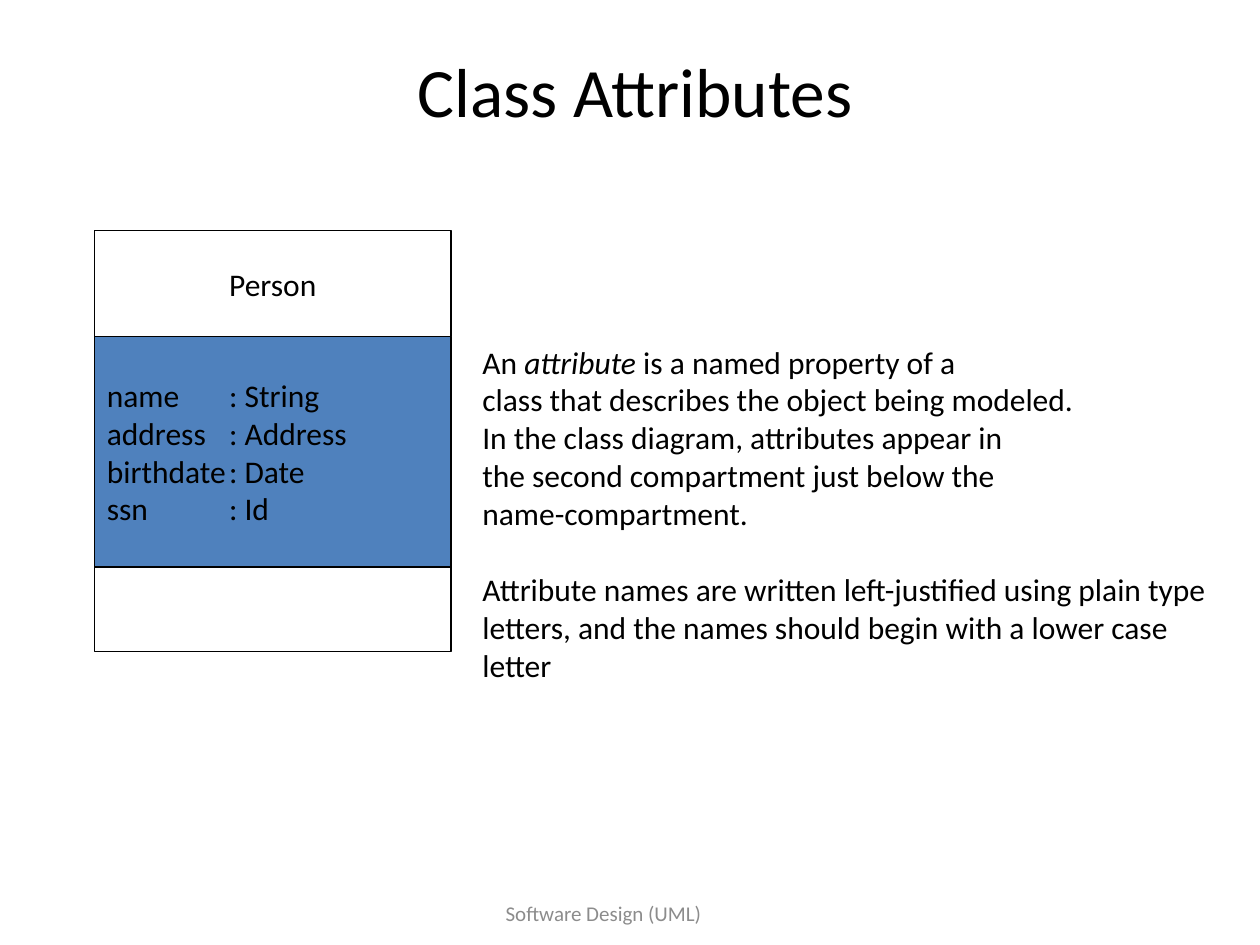
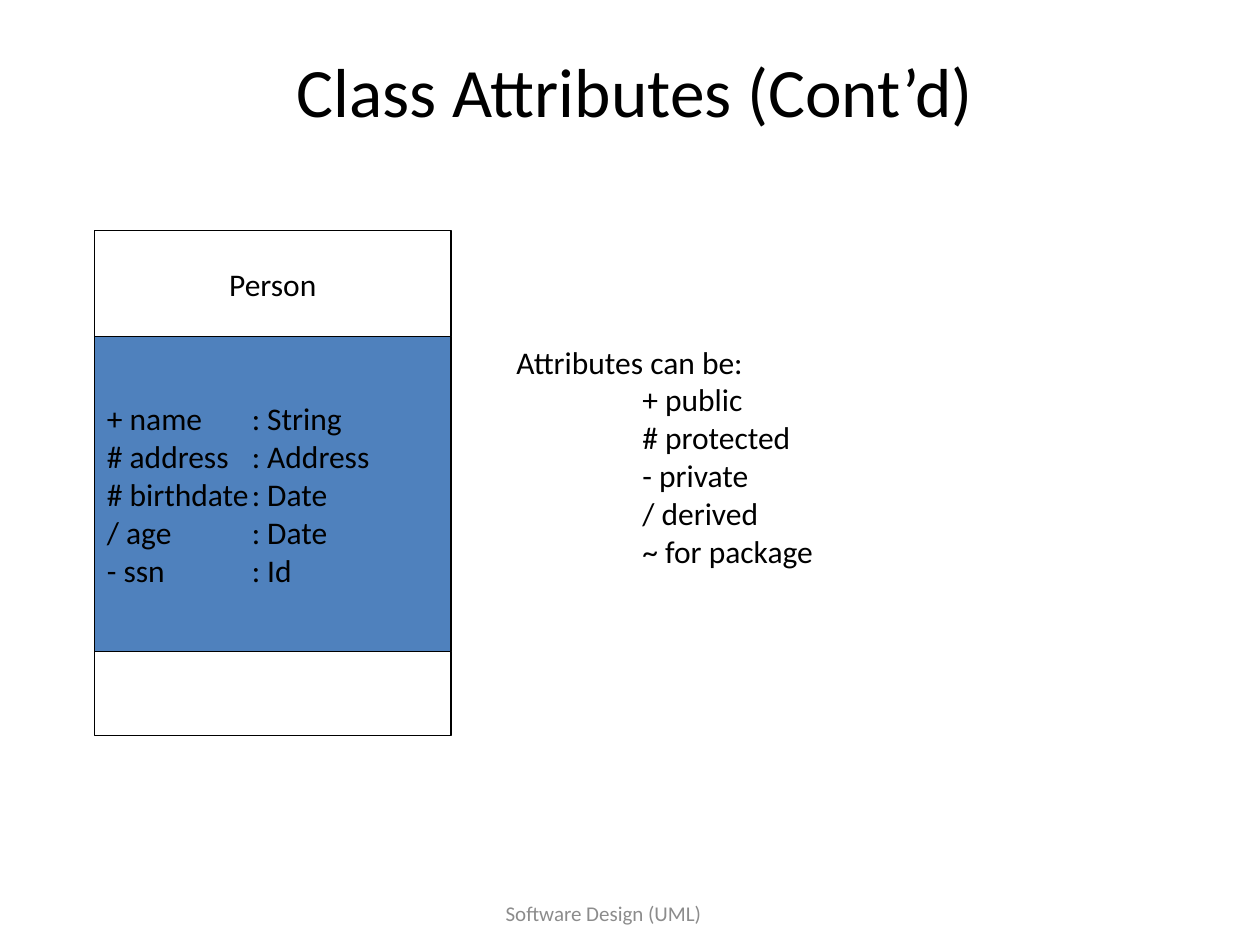
from dataclasses import dataclass

import pptx
import pptx.dml.color
import pptx.enum.shapes
import pptx.enum.text
import pptx.presentation
import pptx.shapes.autoshape
import pptx.slide
import pptx.text.text
import pptx.util
from lxml import etree
from pptx.util import Inches

COLORS = {"ink": "000000", "paper": "FFFFFF", "highlight": "4F81BD", "footer": "8C8C8C"}
FONT = "Calibri"
BODY_SIZE = 18
FOOTER = "Software Design (UML)"
CENTER = pptx.enum.text.PP_ALIGN.CENTER
LEFT = pptx.enum.text.PP_ALIGN.LEFT
MIDDLE = pptx.enum.text.MSO_ANCHOR.MIDDLE

CLASS_LEFT, CLASS_TOP, CLASS_WIDTH = 0.75, 1.83, 2.83
NAME_HEIGHT, OPERATIONS_HEIGHT = 0.84, 0.67


@dataclass
class Line:
    text: str  # words between asterisks are italic
    indent: float = 0
    space_before: float = 0


@dataclass
class Explanation:
    left: float
    width: float
    height: float
    lines: list[Line]


@dataclass
class ClassSlide:
    title: str
    attributes: list[tuple[str, str]]
    attributes_height: float
    type_tab: float
    explanation: Explanation


CLASS_SLIDES = [
    ClassSlide(
        "Class Attributes",
        [("name", "String"), ("address", "Address"), ("birthdate", "Date"), ("ssn", "Id")],
        1.83, 0.97,
        Explanation(3.73, 6.11, 2.83, [
            Line("An *attribute* is a named property of a"),
            Line("class that describes the object being modeled."),
            Line("In the class diagram, attributes appear in"),
            Line("the second compartment just below the"),
            Line("name-compartment."),
            Line("Attribute names are written left-justified using plain type letters, "
                 "and the names should begin with a lower case letter", space_before=22),
        ]),
    ),
    ClassSlide(
        "Class Attributes (Cont’d)",
        [("+ name", "String"), ("# address", "Address"), ("# birthdate", "Date"),
         ("/ age", "Date"), ("- ssn", "Id")],
        2.5, 1.15,
        Explanation(4, 2.6, 2.22, [Line("Attributes can be:")] + [
            Line(kind, indent=1)
            for kind in ("+ public", "# protected", "- private", "/ derived", "~ for package")
        ]),
    ),
]


def color(name: str) -> pptx.dml.color.RGBColor:
    return pptx.dml.color.RGBColor.from_string(COLORS[name])


def style(paragraph: pptx.text.text._Paragraph, size: float = BODY_SIZE,
          ink: str = "ink", align: pptx.enum.text.PP_ALIGN = LEFT) -> None:
    paragraph.alignment = align
    for run in paragraph.runs:
        run.font.name = FONT
        run.font.size = pptx.util.Pt(size)
        run.font.color.rgb = color(ink)


def add_tab_stop(paragraph: pptx.text.text._Paragraph, position: float) -> None:
    properties = paragraph._p.get_or_add_pPr()
    stops = etree.SubElement(properties, pptx.oxml.ns.qn("a:tabLst"))
    etree.SubElement(stops, pptx.oxml.ns.qn("a:tab"), pos=str(Inches(position)), algn="l")


def add_title_and_footer(slide: pptx.slide.Slide, text: str) -> None:
    title = slide.shapes.title
    title.left, title.top = Inches(0.75), Inches(0.42)
    title.width, title.height = Inches(8.58), Inches(0.58)
    title.text_frame.text = text
    title.text_frame.vertical_anchor = MIDDLE
    style(title.text_frame.paragraphs[0], 39.6, align=CENTER)

    footer = slide.shapes.add_textbox(Inches(2.58), Inches(7), Inches(4.42), Inches(0.5)).text_frame
    footer.word_wrap = True
    footer.vertical_anchor = MIDDLE
    footer.text = FOOTER
    style(footer.paragraphs[0], 12, "footer", CENTER)


def add_class_diagram(slide: pptx.slide.Slide, content: ClassSlide) -> None:
    diagram = slide.shapes.add_group_shape()
    attributes = "\n".join(f"{name}\t: {kind}" for name, kind in content.attributes)
    top = CLASS_TOP
    for text, height, fill, align in (
        ("Person", NAME_HEIGHT, "paper", CENTER),
        (attributes, content.attributes_height, "highlight", LEFT),
        ("", OPERATIONS_HEIGHT, "paper", LEFT),
    ):
        compartment = diagram.shapes.add_shape(
            pptx.enum.shapes.MSO_SHAPE.RECTANGLE,
            Inches(CLASS_LEFT), Inches(top), Inches(CLASS_WIDTH), Inches(height))
        compartment.shadow.inherit = False
        compartment.fill.solid()
        compartment.fill.fore_color.rgb = color(fill)
        compartment.line.color.rgb = color("ink")
        compartment.line.width = pptx.util.Pt(0.75)
        compartment.text_frame.vertical_anchor = MIDDLE
        compartment.text_frame.text = text
        for paragraph in compartment.text_frame.paragraphs:
            if "\t" in text:
                add_tab_stop(paragraph, content.type_tab)
            style(paragraph, align=align)
        top += height


def add_explanation(slide: pptx.slide.Slide, explanation: Explanation) -> None:
    frame = slide.shapes.add_textbox(
        Inches(explanation.left), Inches(2.67),
        Inches(explanation.width), Inches(explanation.height)).text_frame
    frame.word_wrap = True
    for number, line in enumerate(explanation.lines):
        paragraph = frame.add_paragraph() if number else frame.paragraphs[0]
        for part, words in enumerate(line.text.split("*")):
            run = paragraph.add_run()
            run.text = words
            run.font.italic = part % 2 == 1
        if line.indent:
            paragraph._p.get_or_add_pPr().set("marL", str(Inches(line.indent)))
        if line.space_before:
            paragraph.space_before = pptx.util.Pt(line.space_before)
        style(paragraph)


def main() -> None:
    deck = pptx.Presentation()
    deck.slide_width, deck.slide_height = Inches(10), Inches(7.5)
    title_only = deck.slide_layouts[5]
    for content in CLASS_SLIDES:
        slide = deck.slides.add_slide(title_only)
        add_title_and_footer(slide, content.title)
        add_class_diagram(slide, content)
        add_explanation(slide, content.explanation)
    deck.save("out.pptx")


if __name__ == "__main__":
    main()
